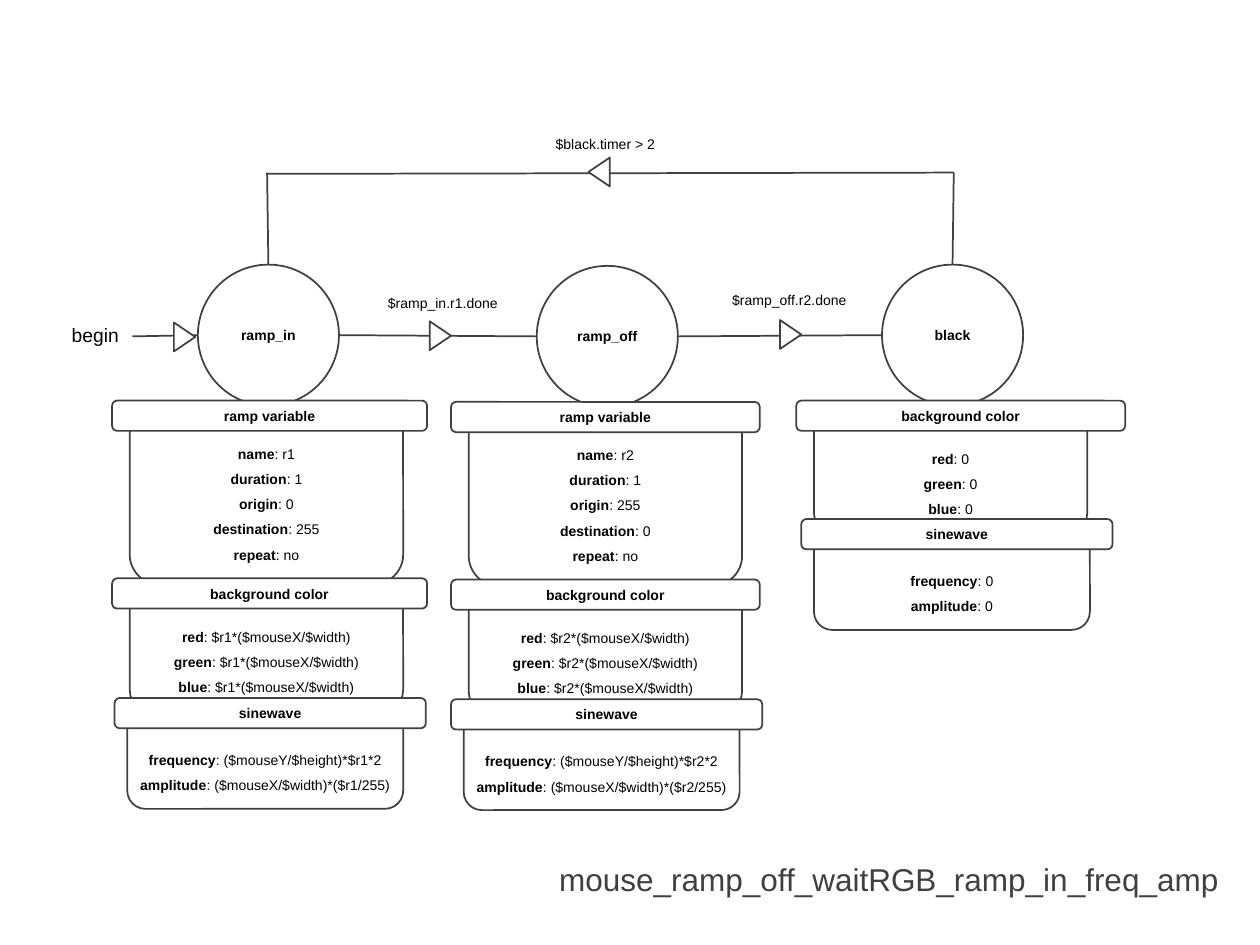
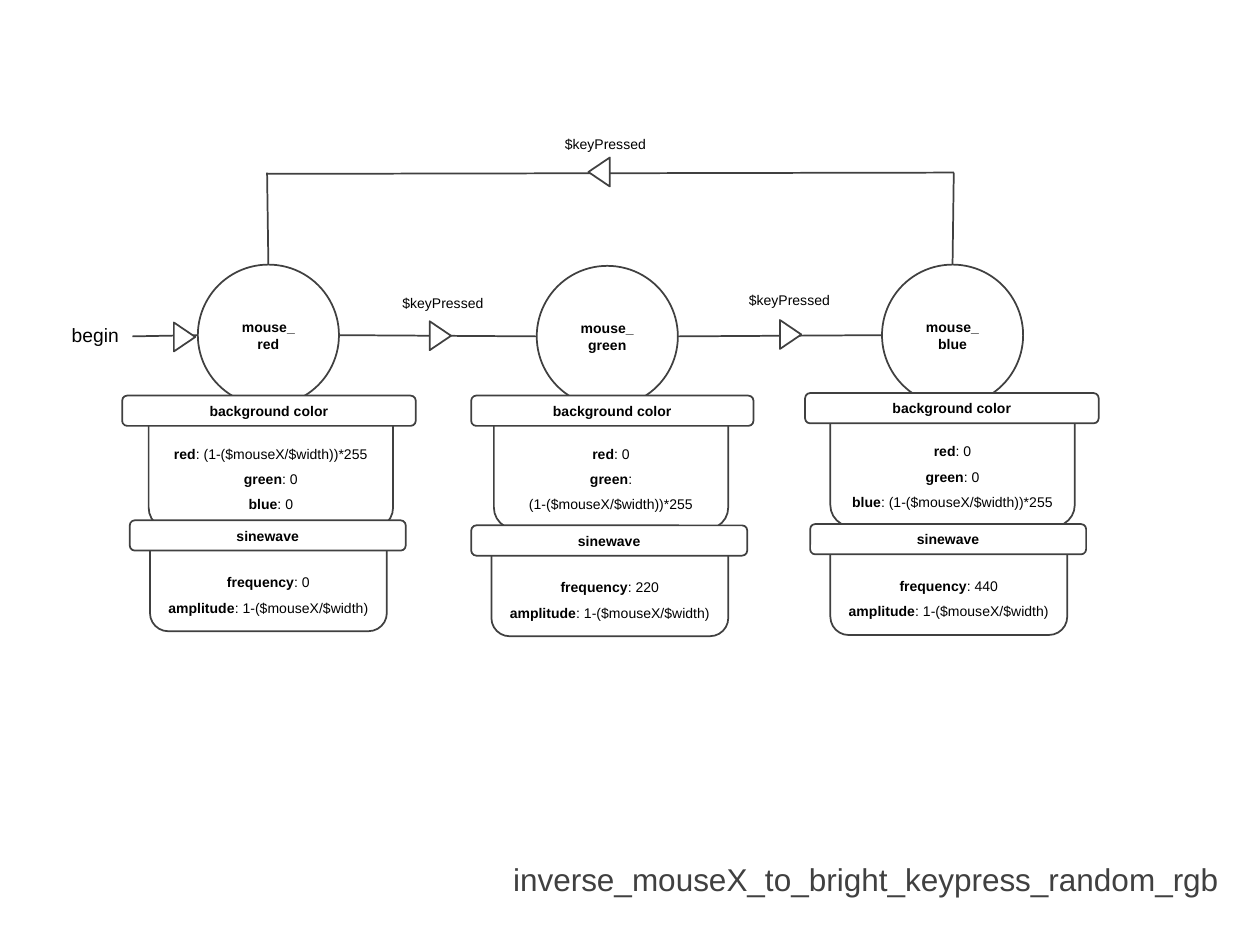
from lxml import etree
from pptx import Presentation
from pptx import util as u
from pptx.dml.color import RGBColor
from pptx.enum import shapes as es, text as et
from pptx.oxml.ns import qn

# Content: a panel is (kind, bar left, bar top, bar width, body left, body width, fields)
MACHINES = [
    {"title": "mouse_ramp_off_waitRGB_ramp_in_freq_amp",
     "states": ["ramp_in", "ramp_off", "black"],
     "conditions": ["$ramp_in.r1.done", "$ramp_off.r2.done", "$black.timer > 2"],
     "panels": [
         ("ramp variable", 0.89, 3.18, 2.5, 1.03, 2.17,
          ["name: r1", "duration: 1", "origin: 0", "destination: 255", "repeat: no"]),
         ("background color", 0.89, 4.59, 2.5, 1.03, 2.17,
          ["red: $r1*($mouseX/$width)", "green: $r1*($mouseX/$width)",
           "blue: $r1*($mouseX/$width)"]),
         ("sinewave", 0.91, 5.54, 2.47, 1.01, 2.19,
          ["frequency: ($mouseY/$height)*$r1*2", "amplitude: ($mouseX/$width)*($r1/255)"]),
         ("ramp variable", 3.58, 3.19, 2.45, 3.72, 2.17,
          ["name: r2", "duration: 1", "origin: 255", "destination: 0", "repeat: no"]),
         ("background color", 3.58, 4.6, 2.45, 3.72, 2.17,
          ["red: $r2*($mouseX/$width)", "green: $r2*($mouseX/$width)",
           "blue: $r2*($mouseX/$width)"]),
         ("sinewave", 3.58, 5.55, 2.47, 3.68, 2.19,
          ["frequency: ($mouseY/$height)*$r2*2", "amplitude: ($mouseX/$width)*($r2/255)"]),
         ("background color", 6.32, 3.18, 2.61, 6.46, 2.17,
          ["red: 0", "green: 0", "blue: 0"]),
         ("sinewave", 6.36, 4.12, 2.47, 6.46, 2.19,
          ["frequency: 0", "amplitude: 0"]),
     ]},
    {"title": "inverse_mouseX_to_bright_keypress_random_rgb",
     "states": ["mouse_\nred", "mouse_\ngreen", "mouse_\nblue"],
     "conditions": ["$keyPressed"] * 3,
     "panels": [
         ("background color", 0.97, 3.14, 2.33, 1.18, 1.94,
          ["red: (1-($mouseX/$width))*255", "green: 0", "blue: 0"]),
         ("sinewave", 1.03, 4.13, 2.19, 1.19, 1.88,
          ["frequency: 0", "amplitude: 1-($mouseX/$width)"]),
         ("background color", 3.74, 3.14, 2.24, 3.92, 1.86,
          ["red: 0", "green: (1-($mouseX/$width))*255"]),
         ("sinewave", 3.74, 4.17, 2.19, 3.9, 1.88,
          ["frequency: 220", "amplitude: 1-($mouseX/$width)"]),
         ("background color", 6.39, 3.12, 2.33, 6.59, 1.94,
          ["red: 0", "green: 0", "blue: (1-($mouseX/$width))*255"]),
         ("sinewave", 6.43, 4.16, 2.19, 6.59, 1.88,
          ["frequency: 440", "amplitude: 1-($mouseX/$width)"]),
     ]},
]

# Shared look and layout, in inches
INK = RGBColor(0x40, 0x40, 0x40)
BLACK = RGBColor(0, 0, 0)
WHITE = RGBColor(0xFF, 0xFF, 0xFF)
CENTER, RIGHT, LEFT = et.PP_ALIGN.CENTER, et.PP_ALIGN.RIGHT, et.PP_ALIGN.LEFT
SHAPE = es.MSO_SHAPE
CIRCLE = 1.12
CIRCLES = [(1.57, 2.1), (4.26, 2.11), (7, 2.1)]
LOOP_Y = 1.37
SLANT = 0.01
MARKERS = [(3.38, 2.58, 90), (6.16, 2.57, 90), (4.64, 1.28, 270)]
LABELS = [(2.87, 2.22), (5.62, 2.2), (4.16, 0.96)]
BAR_H = 0.24
# Kind: body offset below bar top, body height, text offset below bar top
KINDS = {"ramp variable": (0.03, 1.43, 0.24),
         "background color": (0.03, 1.03, 0.28),
         "sinewave": (0.01, 0.87, 0.31)}


def write(tf, paragraphs, align=CENTER, spacing=None, size=8, color=BLACK):
    """Each paragraph is a list of (text, bold) runs."""
    for i, runs in enumerate(paragraphs):
        p = tf.add_paragraph() if i else tf.paragraphs[0]
        p.alignment = align
        if spacing:
            p.line_spacing = spacing
        for content, bold in runs:
            for n, line in enumerate(content.split("\n")):
                if n:
                    p.add_line_break()
                r = p.add_run()
                r.text = line
                look = {"name": "Arial", "size": u.Pt(size), "bold": bold}
                for key, value in look.items():
                    setattr(r.font, key, value)
                r.font.color.rgb = color


def add_text(parent, box, paragraphs, wrap=True, **look):
    tf = parent.add_textbox(*map(u.Inches, box)).text_frame
    tf.word_wrap = wrap
    tf.auto_size = et.MSO_AUTO_SIZE.SHAPE_TO_FIT_TEXT
    write(tf, paragraphs, **look)


def add_outlined(parent, kind, box, label=None, rotation=0):
    sp = parent.add_shape(kind, *map(u.Inches, box))
    sp.shadow.inherit = False
    sp.rotation = rotation
    sp.fill.solid()
    sp.fill.fore_color.rgb = WHITE
    sp.line.color.rgb = INK
    sp.line.width = u.Pt(1)
    if label:
        sp.text_frame.vertical_anchor = et.MSO_ANCHOR.MIDDLE
        write(sp.text_frame, [[(label, True)]])
    return sp


def add_line(parent, *ends):
    line = parent.add_connector(es.MSO_CONNECTOR.STRAIGHT, *map(u.Inches, ends))
    line.line.color.rgb = INK
    line.line.width = u.Pt(1)
    etree.SubElement(line._element.spPr, qn("a:effectLst"))
    return line


def add_marker(parent, x, y, rotation):
    add_outlined(parent, SHAPE.ISOSCELES_TRIANGLE, (x, y, 0.23, 0.17), rotation=rotation)


def add_panel(parent, kind, bar_x, bar_y, bar_w, body_x, body_w, fields):
    body_dy, body_h, text_dy = KINDS[kind]
    add_outlined(parent, SHAPE.ROUNDED_RECTANGLE, (body_x, bar_y + body_dy, body_w, body_h))
    add_outlined(parent, SHAPE.ROUNDED_RECTANGLE, (bar_x, bar_y, bar_w, BAR_H), kind)
    paragraphs = []
    for field in fields:
        name, value = field.split(":")
        paragraphs.append([(name, True), (":" + value, False)])
    box = (body_x, bar_y + text_dy, body_w, 0.1 + 0.2 * len(fields))
    add_text(parent, box, paragraphs, spacing=1.5)


def add_machine(prs, machine):
    parent = prs.slides.add_slide(prs.slide_layouts[6]).shapes
    add_text(parent, (3.05, 6.63, 6.72, 0.53), [[(machine["title"], False)]],
             align=RIGHT, spacing=1.5, size=18, color=INK)

    # States and the lines between them
    circles = [add_outlined(parent, SHAPE.OVAL, (x, y, CIRCLE, CIRCLE), name)
               for (x, y), name in zip(CIRCLES, machine["states"])]
    for (x1, y1), (x2, y2) in zip(CIRCLES, CIRCLES[1:]):
        add_line(parent, x1 + CIRCLE, y1 + CIRCLE / 2, x2, y2 + CIRCLE / 2)

    # Entry arrow
    entry = parent.add_group_shape().shapes
    add_line(entry, 1.05, 2.67, 1.57, 2.66)
    add_marker(entry, 1.35, 2.59, 90)
    add_text(entry, (0.47, 2.52, 0.58, 0.29), [[("begin", False)]],
             wrap=False, align=LEFT, size=11)

    # Loop from the last state back to the first; a slight slant keeps its full weight
    first, last = (CIRCLES[i][0] + CIRCLE / 2 for i in (0, -1))
    loop_left, loop_right = first - SLANT, last + SLANT
    for x, corner, circle in ((last, loop_right, circles[-1]), (first, loop_left, circles[0])):
        add_line(parent, x, 2.1, corner, LOOP_Y).begin_connect(circle, 0)
    add_line(parent, loop_left, LOOP_Y + SLANT, loop_right, LOOP_Y)

    # Transition markers and conditions
    for marker, (x, y), condition in zip(MARKERS, LABELS, machine["conditions"]):
        add_marker(parent, *marker)
        add_text(parent, (x, y, 1.29, 0.29), [[(condition, False)]], spacing=1.5)

    for panel in machine["panels"]:
        add_panel(parent, *panel)


def main():
    prs = Presentation()
    prs.slide_width, prs.slide_height = u.Inches(10), u.Inches(7.5)
    for machine in MACHINES:
        add_machine(prs, machine)
    prs.save("out.pptx")


if __name__ == "__main__":
    main()
